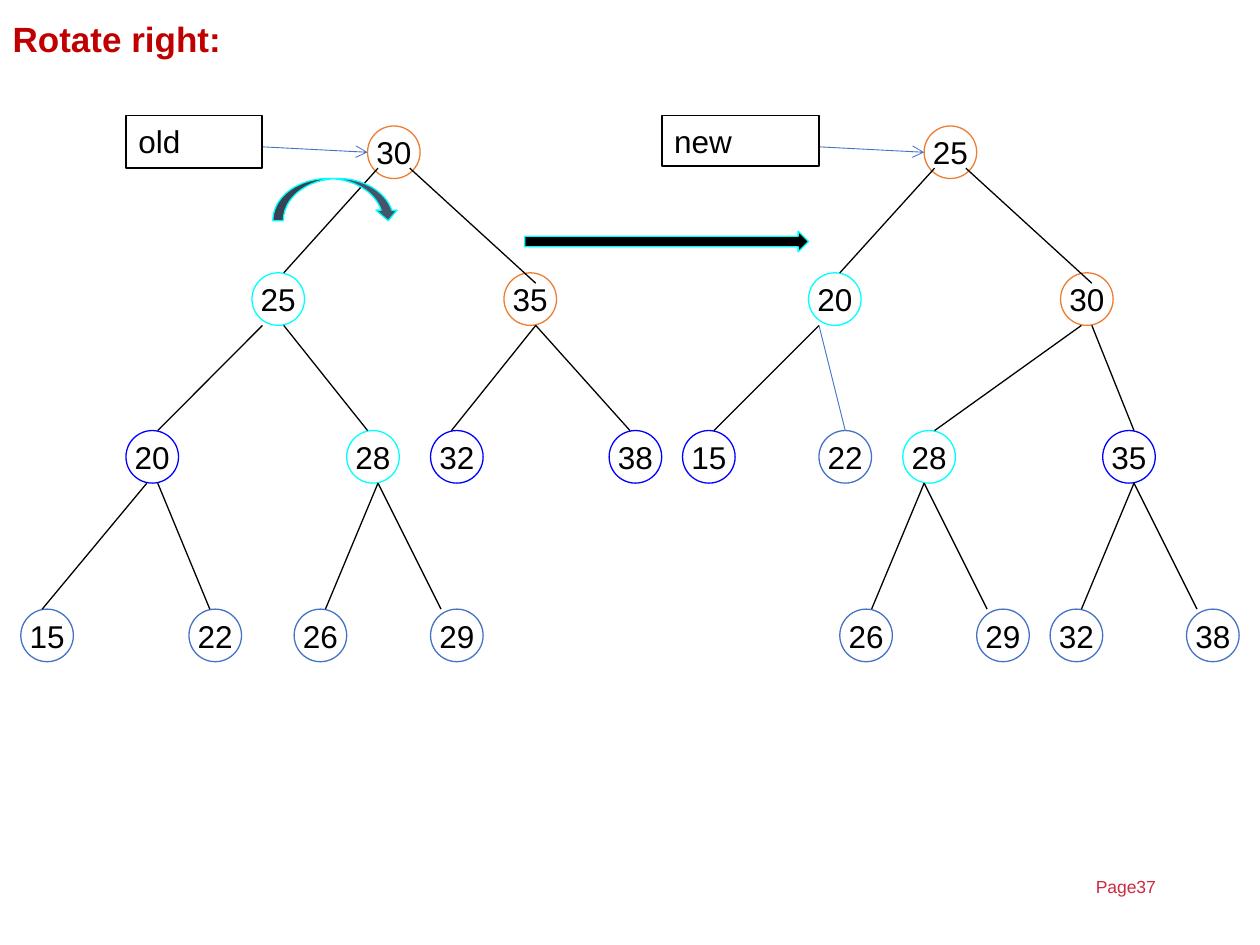
from dataclasses import dataclass

from lxml.etree import SubElement
from pptx import Presentation
from pptx.dml.color import RGBColor
from pptx.enum.shapes import MSO_CONNECTOR as Link, MSO_SHAPE as Kind
from pptx.enum.text import MSO_ANCHOR as Anchor, MSO_AUTO_SIZE as Fit, PP_ALIGN as Align
from pptx.oxml.ns import qn
from pptx.util import Cm, Pt

BLACK = RGBColor(0x00, 0x00, 0x00)
WHITE = RGBColor(0xFF, 0xFF, 0xFF)
RED = RGBColor(0xC0, 0x00, 0x00)
ROSE = RGBColor(0xCF, 0x29, 0x41)
ORANGE = RGBColor(0xED, 0x7D, 0x31)
CYAN = RGBColor(0x00, 0xFF, 0xFF)
NAVY = RGBColor(0x00, 0x00, 0xFF)
BLUE = RGBColor(0x44, 0x72, 0xC4)
SLATE = RGBColor(0x44, 0x54, 0x6A)

SIZE = 1.06
TOPS = (2.54, 5.5, 8.68, 12.28)
FEET = (3.39, 6.56, 9.74)
DIP = 0.21


@dataclass(frozen=True)
class Node:
    key: int
    x: float
    row: int
    color: RGBColor


@dataclass(frozen=True)
class Edge:
    start: float
    end: float
    row: int
    dip: float = 0
    color: RGBColor = BLACK
    width: float = 0.75


@dataclass(frozen=True)
class Label:
    text: str
    x: float
    width: float
    height: float
    tip: float


@dataclass(frozen=True)
class Arrow:
    kind: Kind
    x: float
    y: float
    width: float
    height: float
    fill: RGBColor


NODES = (
    Node(30, 7.41, 0, ORANGE),
    Node(25, 5.08, 1, CYAN),
    Node(35, 10.16, 1, ORANGE),
    Node(20, 2.54, 2, NAVY),
    Node(28, 6.99, 2, CYAN),
    Node(32, 8.68, 2, NAVY),
    Node(38, 12.28, 2, NAVY),
    Node(15, 0.42, 3, BLUE),
    Node(22, 3.81, 3, BLUE),
    Node(26, 5.93, 3, BLUE),
    Node(29, 8.68, 3, BLUE),
    Node(25, 18.63, 0, ORANGE),
    Node(20, 16.3, 1, CYAN),
    Node(30, 21.38, 1, ORANGE),
    Node(15, 13.76, 2, NAVY),
    Node(22, 16.51, 2, BLUE),
    Node(28, 18.2, 2, CYAN),
    Node(35, 22.23, 2, NAVY),
    Node(26, 16.93, 3, BLUE),
    Node(29, 19.69, 3, BLUE),
    Node(32, 21.17, 3, BLUE),
    Node(38, 23.92, 3, BLUE),
)
EDGES = (
    Edge(7.62, 5.72, 0),
    Edge(8.26, 10.8, 0, DIP),
    Edge(5.29, 3.18, 1),
    Edge(5.72, 7.41, 1),
    Edge(10.8, 9.1, 1),
    Edge(10.8, 12.7, 1),
    Edge(2.96, 0.85, 2),
    Edge(3.18, 4.23, 2),
    Edge(7.62, 6.56, 2),
    Edge(7.62, 8.89, 2),
    Edge(18.84, 16.93, 0),
    Edge(19.47, 22.01, 0, DIP),
    Edge(16.51, 14.39, 1),
    Edge(16.51, 17.04, 1, color=BLUE, width=0.5),
    Edge(21.8, 18.84, 1),
    Edge(22.01, 22.86, 1),
    Edge(18.63, 17.57, 2),
    Edge(18.63, 19.9, 2),
    Edge(22.86, 21.8, 2),
    Edge(22.86, 24.13, 2),
)
LABELS = (
    Label("old", 2.54, 2.75, 1.06, 7.41),
    Label("new", 13.34, 3.17, 1.02, 18.63),
)
ARROWS = (
    Arrow(Kind.CURVED_DOWN_ARROW, 5.5, 3.6, 2.54, 0.85, SLATE),
    Arrow(Kind.RIGHT_ARROW, 10.58, 4.66, 5.72, 0.42, BLACK),
)


def write(shape, text: str, size: float, color: RGBColor, bold: bool = False,
          align: Align = Align.LEFT, anchor: Anchor = Anchor.TOP, wrap: bool = True) -> None:
    frame = shape.text_frame
    frame.auto_size = Fit.NONE
    frame.word_wrap = wrap
    frame.vertical_anchor = anchor
    para = frame.paragraphs[0]
    para.alignment = align
    run = para.add_run()
    run.text = text
    run.font.name = "Arial"
    run.font.size = Pt(size)
    run.font.bold = bold
    run.font.color.rgb = color


def place(shape, x: float, y: float, width: float, height: float) -> None:
    shape.left, shape.top = Cm(x), Cm(y)
    shape.width, shape.height = Cm(width), Cm(height)


def add_form(slide, kind: Kind, x: float, y: float, width: float, height: float,
             line: RGBColor, fill: RGBColor | None = None, weight: float = 0.75):
    shape = slide.shapes.add_shape(kind, Cm(x), Cm(y), Cm(width), Cm(height))
    shape.shadow.inherit = False
    if fill is None:
        shape.fill.background()
    else:
        shape.fill.solid()
        shape.fill.fore_color.rgb = fill
    shape.line.color.rgb = line
    shape.line.width = Pt(weight)
    return shape


def add_line(slide, x1: float, y1: float, x2: float, y2: float,
             color: RGBColor, width: float, head: bool = False) -> None:
    line = slide.shapes.add_connector(Link.STRAIGHT, Cm(x1), Cm(y1), Cm(x2), Cm(y2))
    line.line.color.rgb = color
    line.line.width = Pt(width)
    if head:
        SubElement(line.line._get_or_add_ln(), qn("a:tailEnd"), type="arrow")
    SubElement(line._element.spPr, qn("a:effectLst"))


def add_node(slide, node: Node) -> None:
    disc = add_form(slide, Kind.OVAL, node.x, TOPS[node.row], SIZE, SIZE, node.color)
    write(disc, str(node.key), 18, BLACK, align=Align.CENTER, anchor=Anchor.MIDDLE, wrap=False)


def add_edge(slide, edge: Edge) -> None:
    add_line(slide, edge.start, FEET[edge.row], edge.end, TOPS[edge.row + 1] + edge.dip,
             edge.color, edge.width)


def add_label(slide, label: Label) -> None:
    add_line(slide, label.x + label.width, 2.96, label.tip, 3.07, BLUE, 0.5, head=True)
    box = add_form(slide, Kind.RECTANGLE, label.x, 2.33, label.width, label.height,
                   BLACK, WHITE, 1)
    write(box, label.text, 18, BLACK)


def main() -> None:
    deck = Presentation()
    deck.slide_width, deck.slide_height = Cm(25.4), Cm(19.05)
    slide = deck.slides.add_slide(deck.slide_layouts[5])
    title = slide.shapes.title
    place(title, 0, 0.23, 24.77, 1.12)
    write(title, "Rotate right:", 20, RED, bold=True)
    page = slide.shapes.add_textbox(Cm(21.84), Cm(17.53), Cm(3.05), Cm(0.71))
    write(page, "Page37", 10, ROSE)
    for node in NODES:
        add_node(slide, node)
    for edge in EDGES:
        add_edge(slide, edge)
    for label in LABELS:
        add_label(slide, label)
    for mark in ARROWS:
        add_form(slide, mark.kind, mark.x, mark.y, mark.width, mark.height, CYAN, mark.fill)
    deck.save("out.pptx")


if __name__ == "__main__":
    main()
